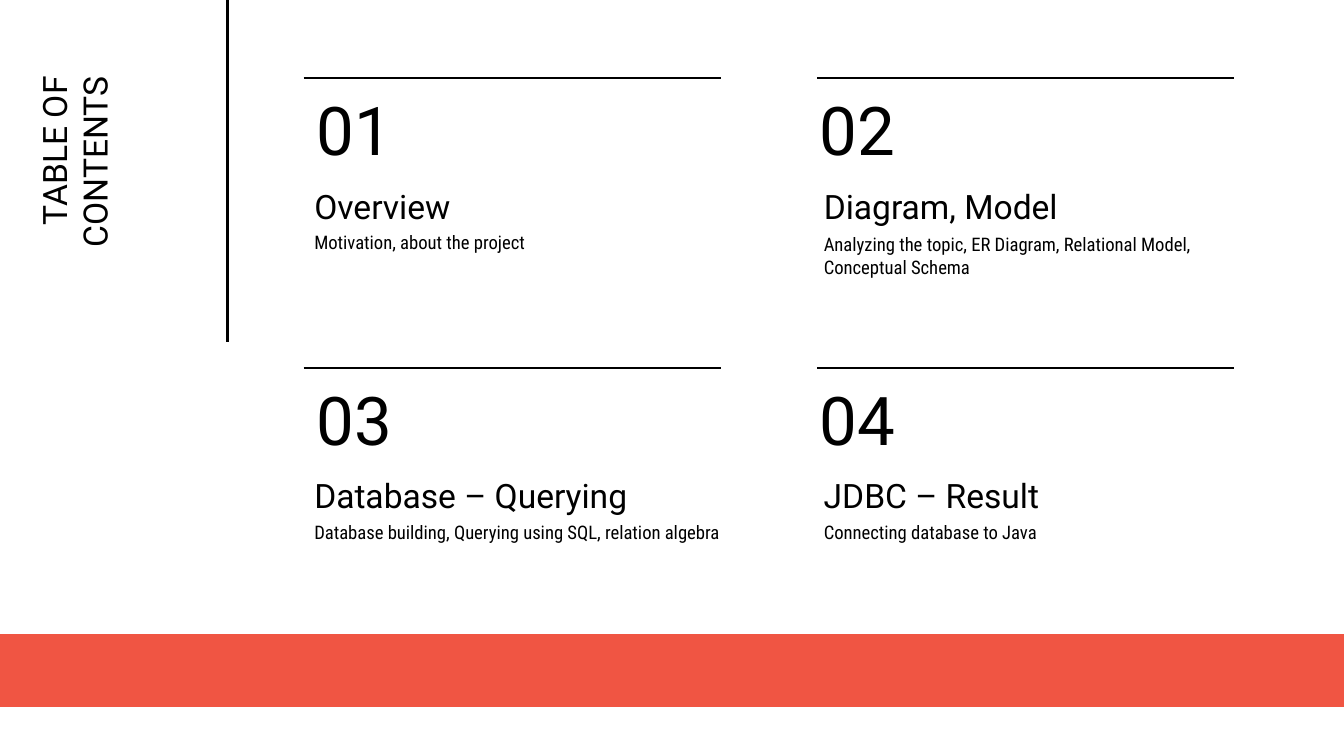
from pptx import Presentation
from pptx.dml.color import RGBColor
from pptx.enum.shapes import MSO_CONNECTOR, MSO_SHAPE
from pptx.enum.text import MSO_ANCHOR, PP_ALIGN
from pptx.oxml.ns import qn
from pptx.util import Pt
from lxml import etree

STRAIGHT, RECTANGLE = MSO_CONNECTOR.STRAIGHT, MSO_SHAPE.RECTANGLE
TOP, MIDDLE, BOTTOM = MSO_ANCHOR.TOP, MSO_ANCHOR.MIDDLE, MSO_ANCHOR.BOTTOM
LEFT, RIGHT = PP_ALIGN.LEFT, PP_ALIGN.RIGHT

PAGE_WIDTH, PAGE_HEIGHT = 720, 405
BLACK, CORAL, WHITE = "000000", "F05543", "FFFFFF"
HEADING_FONT, BODY_FONT = "Roboto", "Roboto Condensed"
ROW_TOP, ROW_PITCH = 41.8, 155.3
# Left edges of text, number and rule, one set per column
COLUMNS = [(161.3, 162.7, 162.7), (434.2, 432, 437.8)]
# Heading, heading width, description, description width
ENTRIES = [
    ("Overview", 214.6, "Motivation, about the project", 214.6),
    ("Diagram, Model", 190.8,
     "Analyzing the topic, ER Diagram, Relational Model, Conceptual Schema", 214.6),
    ("Database – Querying", 225.4,
     "Database building, Querying using SQL, relation algebra", 234),
    ("JDBC – Result", 259.2, "Connecting database to Java", 214.6),
]


def color(value):
    return RGBColor.from_string(value)


def add_text(page, box, text, size, font=HEADING_FONT, anchor=MIDDLE, align=LEFT):
    shape = page.shapes.add_textbox(*[Pt(length) for length in box])
    frame = shape.text_frame
    frame.word_wrap = True
    frame.vertical_anchor = anchor
    frame.margin_left = frame.margin_right = Pt(7.2)
    frame.margin_top = frame.margin_bottom = Pt(7.2)
    para = frame.paragraphs[0]
    para.text = text
    para.alignment = align
    para.font.name = font
    para.font.size = Pt(size)
    para.font.color.rgb = color(BLACK)
    return shape


def add_rule(page, start, end, width):
    rule = page.shapes.add_connector(
        STRAIGHT, *[Pt(length) for length in (*start, *end)])
    rule.line.color.rgb = color(BLACK)
    rule.line.width = Pt(width)
    etree.SubElement(rule._element.spPr, qn("a:effectLst"))


def add_sidebar(page, box):
    left, top, width, height = box
    # Title reading upwards, with its box turned about its centre
    length, depth = 179.3, 45.4
    center_x, center_y = left + 45.7, top + 123.5
    title = add_text(page, (center_x - length / 2, center_y - depth / 2, length, depth),
                     "TABLE OF CONTENTS", 18, anchor=BOTTOM, align=RIGHT)
    title.rotation = 270
    # Divider on the right edge
    add_rule(page, (left + width, top), (left + width, top + height), 1.5)


def add_entry(page, column, top, number, entry):
    text_left, number_left, rule_left = column
    heading, heading_width, description, description_width = entry
    add_rule(page, (rule_left, top), (rule_left + 223.5, top), 0.75)
    add_text(page, (number_left, top + 4.5, 115.2, 45.4), f"{number:02}", 36)
    add_text(page, (text_left, top + 45.7, heading_width, 45.4), heading, 18)
    add_text(page, (text_left, top + 75.8, description_width, 55.4),
             description, 10, font=BODY_FONT, anchor=TOP)


def add_contents(page, top):
    for index, entry in enumerate(ENTRIES):
        row, column = divmod(index, len(COLUMNS))
        add_entry(page, COLUMNS[column], top + row * ROW_PITCH, index + 1, entry)


def add_band(page, box):
    band = page.shapes.add_shape(RECTANGLE, *[Pt(length) for length in box])
    band.shadow.inherit = False
    band.fill.solid()
    band.fill.fore_color.rgb = color(CORAL)
    band.line.fill.background()


def main():
    deck = Presentation()
    deck.slide_width, deck.slide_height = Pt(PAGE_WIDTH), Pt(PAGE_HEIGHT)
    page = deck.slides.add_slide(deck.slide_layouts[6])
    page.background.fill.solid()
    page.background.fill.fore_color.rgb = color(WHITE)

    add_sidebar(page, (0, 0, 121.7, 183))
    add_contents(page, ROW_TOP)
    add_band(page, (0, 339.8, PAGE_WIDTH, 39))
    deck.save("out.pptx")


if __name__ == "__main__":
    main()
